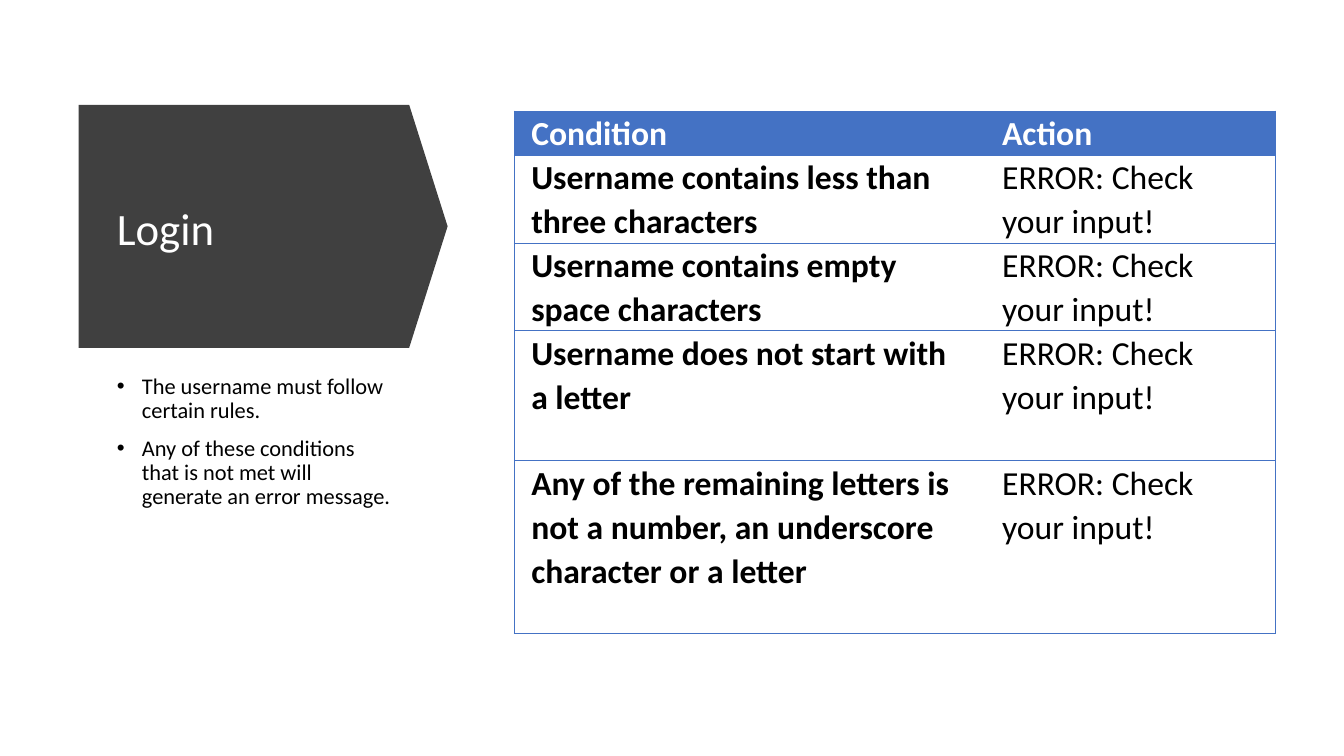
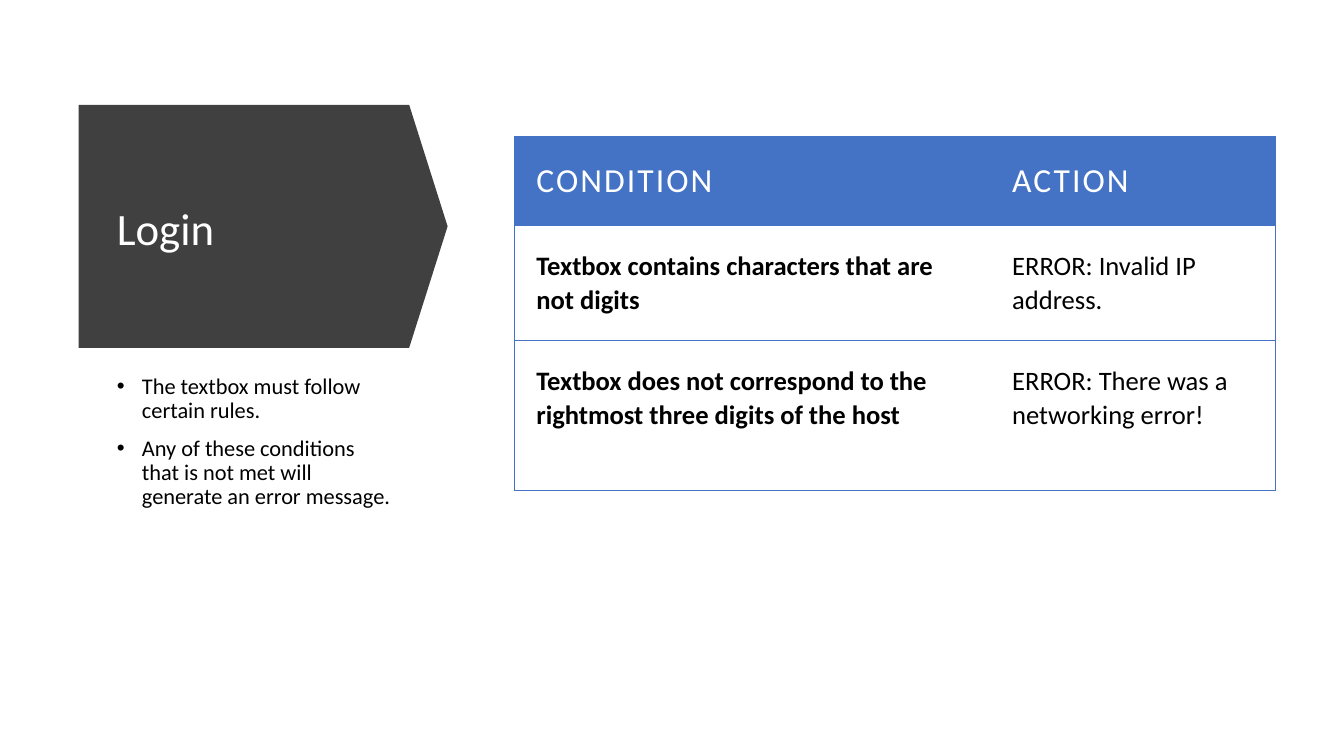
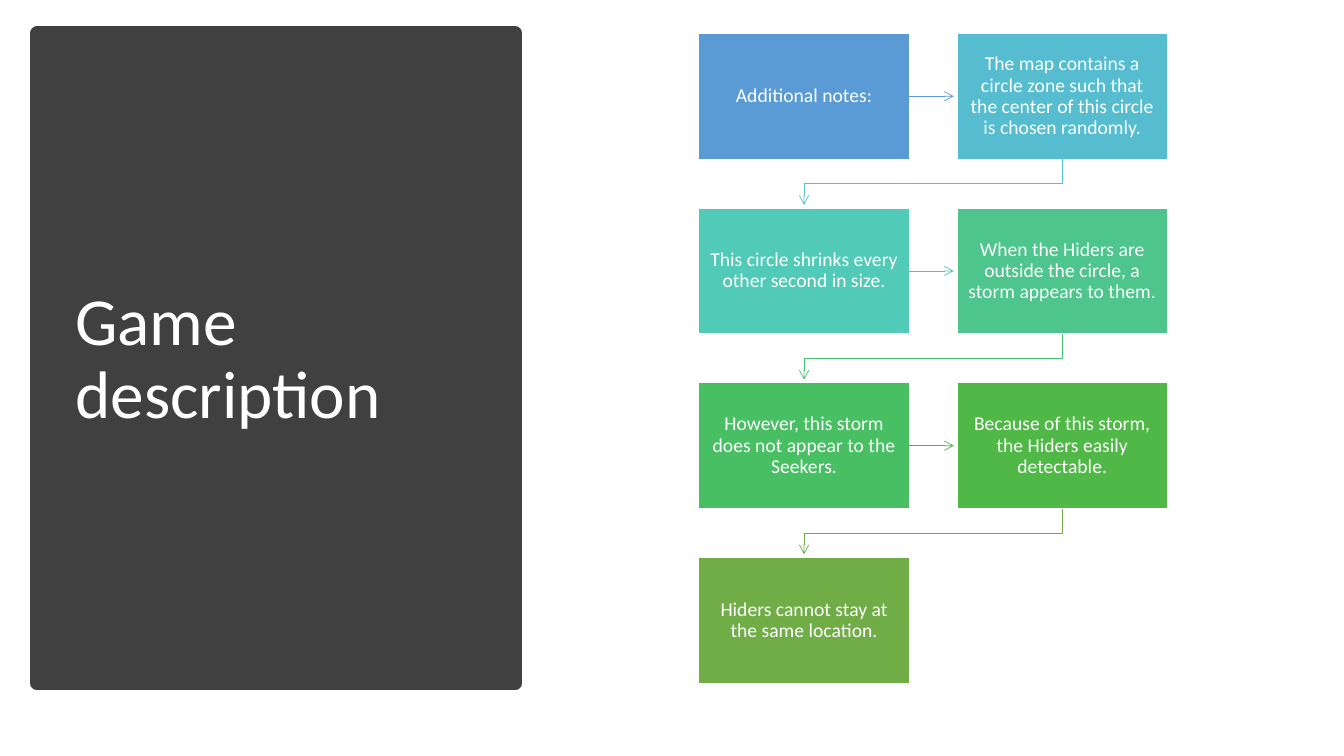
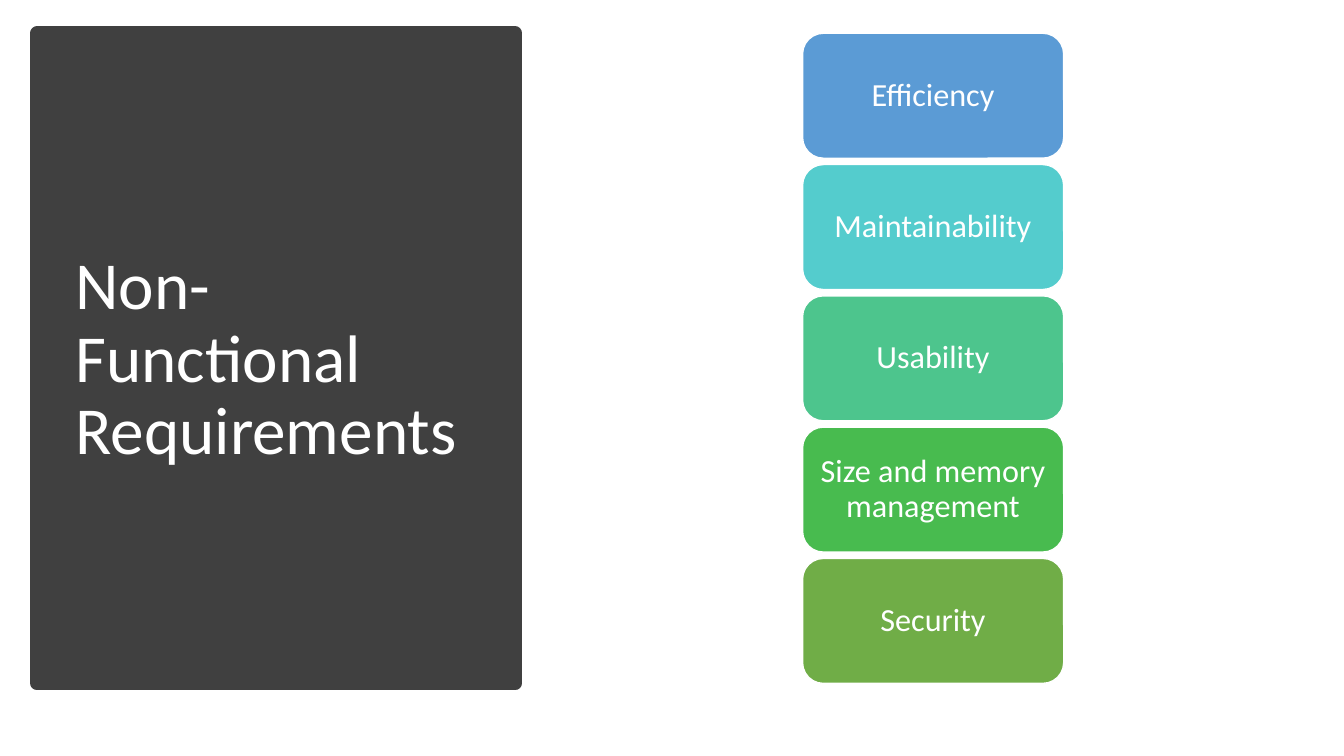
"""Builds four slides on login rules, game description and requirements."""
import lxml.etree
import pptx
import pptx.dml.color
import pptx.enum.shapes
import pptx.enum.text
import pptx.oxml.ns
import pptx.util

Inches = pptx.util.Inches
Pt = pptx.util.Pt
SHAPES = pptx.enum.shapes.MSO_SHAPE
MIDDLE = pptx.enum.text.MSO_ANCHOR.MIDDLE
CENTER = pptx.enum.text.PP_ALIGN.CENTER

FONT = "Calibri"
DARK, WHITE, BLACK, BLUE = "404040", "FFFFFF", "000000", "4472C4"
TAG_BOX = (0.78, 1.04, 3.66, 2.41)
PANEL_BOX = (0.37, 0.33, 4.74, 6.45)
DIAGRAM_BOX = (6.93, 0.33, 4.65, 6.45)


def color(code):
    """Turn a hex string into a colour."""
    return pptx.dml.color.RGBColor.from_string(code)


def add_xml(parent, tag, **attributes):
    """Append a drawing element to a parent element."""
    return lxml.etree.SubElement(parent, pptx.oxml.ns.qn(tag), attributes)


def write(para, text, size, code, bold=False, tracking=0, spacing=0.9):
    """Add one styled run to a paragraph."""
    para.line_spacing = spacing
    span = para.add_run()
    span.text = text
    span.font.name = FONT
    span.font.size = Pt(size)
    span.font.bold = bold
    span.font.color.rgb = color(code)
    if tracking:
        span.font._element.set("spc", str(tracking))


def add_frame(page, box):
    """Add a wrapping text box and return its text frame."""
    frame = page.shapes.add_textbox(*map(Inches, box)).text_frame
    frame.word_wrap = True
    return frame


def add_title(page, box, text, size):
    """Write a white title centred vertically in its box."""
    frame = add_frame(page, box)
    frame.vertical_anchor = MIDDLE
    write(frame.paragraphs[0], text, size, WHITE)


def add_block(page, kind, box, fill, line=None, width=1):
    """Add a filled preset shape without a shadow."""
    block = page.shapes.add_shape(kind, *map(Inches, box))
    block.shadow.inherit = False
    block.fill.solid()
    block.fill.fore_color.rgb = color(fill)
    if line:
        block.line.color.rgb = color(line)
        block.line.width = Pt(width)
    else:
        block.line.fill.background()
    return block


def add_label(page, kind, box, fill, text, size, inset):
    """Add a coloured block with a centred white label."""
    block = add_block(page, kind, box, fill, WHITE)
    frame = block.text_frame
    frame.word_wrap = True
    frame.vertical_anchor = MIDDLE
    frame.margin_left = frame.margin_right = Inches(0.1)
    frame.margin_top = frame.margin_bottom = Inches(inset)
    frame.paragraphs[0].alignment = CENTER
    write(frame.paragraphs[0], text, size, WHITE)


def add_tag(page, box, title, notes):
    """Place the arrow-shaped title tag with bulleted notes below it."""
    left, top, width, height = box
    upright = (left + (width - height) / 2, top + (height - width) / 2, height, width)
    arrow = add_block(page, SHAPES.DOWN_ARROW, upright, DARK)
    arrow.rotation = 270
    arrow.adjustments[0] = 1
    arrow.adjustments[1] = 0.158
    add_title(page, (left + 0.28, top + 0.28, 2.92, 1.95), title, 32)
    frame = add_frame(page, (left + 0.28, top + 2.63, 2.92, 2.65))
    for index, note in enumerate(notes):
        para = frame.add_paragraph() if index else frame.paragraphs[0]
        para.space_before = Pt(10)
        write(para, note, 16, BLACK)
        properties = para._p.get_or_add_pPr()
        properties.set("marL", str(Inches(0.25)))
        properties.set("indent", str(-Inches(0.25)))
        add_xml(properties, "a:buFont", typeface="Arial")
        add_xml(properties, "a:buChar", char="•")


def add_borders(cell, drawn):
    """Draw the given sides of a cell and clear the others."""
    properties = cell._tc.get_or_add_tcPr()
    for index, side in enumerate("LRTB"):
        line = add_xml(properties, "a:ln" + side, w=str(Pt(0.5)))
        if side in drawn:
            add_xml(add_xml(line, "a:solidFill"), "a:srgbClr", val=BLUE)
        else:
            add_xml(line, "a:noFill")
        properties.insert(index, line)


def add_rules(page, box, columns, heights, rows, margins, body_size, header_style):
    """Place a table of conditions and actions under a blue header."""
    table = page.shapes.add_table(len(rows), len(columns), *map(Inches, box)).table
    table.horz_banding = False
    for column, width in zip(table.columns, columns):
        column.width = Inches(width)
    for r, (row, height) in enumerate(zip(rows, heights)):
        table.rows[r].height = Inches(height)
        for c, text in enumerate(row):
            cell = table.cell(r, c)
            cell.margin_left = cell.margin_right = Inches(margins[0])
            cell.margin_top = cell.margin_bottom = Inches(margins[1])
            cell.fill.solid()
            cell.fill.fore_color.rgb = color(WHITE if r else BLUE)
            style = {"size": body_size, "code": BLACK, "bold": c == 0} if r else header_style
            write(cell.text_frame.paragraphs[0], text, spacing=1.07, **style)
            add_borders(cell, "RTB" if c else "LTB")


def add_panel(page, box, title):
    """Place the dark panel with a large title."""
    left, top, width, height = box
    add_block(page, SHAPES.RECTANGLE, box, DARK, DARK, 10)
    add_title(page, (left + 0.28, top + 0.37, width - 0.58, height - 0.7), title, 48)


def finish_arrow(arrow, code):
    """Give a line its colour, weight and open arrowhead."""
    arrow.line.color.rgb = color(code)
    arrow.line.width = Pt(0.5)
    add_xml(arrow.line._get_or_add_ln(), "a:tailEnd", type="arrow")
    add_xml(arrow._element.spPr, "a:effectLst")


def add_straight(page, start, end, code):
    """Draw a straight arrow between two points."""
    points = map(Inches, start + end)
    arrow = page.shapes.add_connector(pptx.enum.shapes.MSO_CONNECTOR.STRAIGHT, *points)
    finish_arrow(arrow, code)


def add_return(page, start, end, code):
    """Draw an arrow down, back to the left and down again."""
    bend = start[1] + 0.24
    points = [start, (start[0], bend), (end[0], bend), end]
    (first, *others) = [tuple(map(Inches, point)) for point in points]
    builder = page.shapes.build_freeform(*first)
    builder.add_line_segments(others, close=False)
    arrow = builder.convert_to_shape()
    arrow.fill.background()
    finish_arrow(arrow, code)


def add_flow(page, box, steps, arrow_colors):
    """Place steps in two columns, joined by arrows in reading order."""
    left, top, width, height = box
    step_width, step_height = 2.09, 1.25
    across = width - step_width
    down = (height - step_height) / 3
    for index, (fill, text) in enumerate(steps):
        row, column = divmod(index, 2)
        x, y = left + column * across, top + row * down
        add_label(page, SHAPES.RECTANGLE, (x, y, step_width, step_height), fill, text, 14, 0.11)
        if index == len(arrow_colors):
            continue
        if column:
            start = (x + step_width / 2, y + step_height)
            end = (left + step_width / 2, y + down - 0.03)
            add_return(page, start, end, arrow_colors[index])
        else:
            middle = y + step_height / 2
            start, end = (x + step_width, middle), (x + across - 0.03, middle)
            add_straight(page, start, end, arrow_colors[index])


def add_stack(page, box, items):
    """Place rounded blocks in one centred column."""
    left, top, width, height = box
    item_width, item_height = 2.59, 1.24
    pitch = (height - item_height) / (len(items) - 1)
    x = left + (width - item_width) / 2
    for index, (fill, text) in enumerate(items):
        place = (x, top + index * pitch, item_width, item_height)
        add_label(page, SHAPES.ROUNDED_RECTANGLE, place, fill, text, 23, 0.05)


def main():
    """Build the deck and save it."""
    deck = pptx.Presentation()
    deck.slide_width, deck.slide_height = Inches(13.33), Inches(7.5)
    username, textbox, game, quality = [
        deck.slides.add_slide(deck.slide_layouts[6]) for _ in range(4)
    ]
    warning = "Any of these conditions that is not met will generate an error message."
    check = "ERROR: Check your input!"

    add_tag(username, TAG_BOX, "Login", ["The username must follow certain rules.", warning])
    add_rules(
        username, (5.1, 1.1, 7.55, 5.18), [4.67, 2.88], [0.44, 0.87, 0.87, 1.29, 1.71],
        [
            ("Condition", "Action"),
            ("Username contains less than three characters", check),
            ("Username contains empty space characters", check),
            ("Username does not start with a letter", check),
            ("Any of the remaining letters is not a number, an underscore "
             "character or a letter", check),
        ],
        (0.17, 0), 24, {"size": 24, "code": WHITE, "bold": True},
    )

    add_tag(textbox, TAG_BOX, "Login", ["The textbox must follow certain rules.", warning])
    add_rules(
        textbox, (5.1, 1.35, 7.55, 3.51), [4.72, 2.83], [0.89, 1.14, 1.48],
        [
            ("CONDITION", "ACTION"),
            ("Textbox contains characters that are not digits", "ERROR: Invalid IP address."),
            ("Textbox does not correspond to the rightmost three digits of the host",
             "ERROR: There was a networking error!"),
        ],
        (0.22, 0.22), 19, {"size": 24, "code": WHITE, "tracking": 150},
    )

    add_panel(game, PANEL_BOX, "Game description")
    add_flow(
        game, DIAGRAM_BOX,
        [
            ("5B9BD5", "Additional notes:"),
            ("56BCD0", "The map contains a circle zone such that the center of this "
                       "circle is chosen randomly."),
            ("52CAB8", "This circle shrinks every other second in size."),
            ("4DC58D", "When the Hiders are outside the circle, a storm appears to them."),
            ("49BF64", "However, this storm does not appear to the Seekers."),
            ("50B846", "Because of this storm, the Hiders easily detectable."),
            ("70AD47", "Hiders cannot stay at the same location."),
        ],
        ["5B9BD5", "55C3CF", "50C8A7", "4BC174", "4ABA46", "70AD47"],
    )

    add_panel(quality, PANEL_BOX, "Non-Functional Requirements")
    add_stack(
        quality, DIAGRAM_BOX,
        [
            ("5B9BD5", "Efficiency"),
            ("54CCCD", "Maintainability"),
            ("4DC58D", "Usability"),
            ("48BB4F", "Size and memory management"),
            ("70AD47", "Security"),
        ],
    )
    deck.save("out.pptx")


if __name__ == "__main__":
    main()
